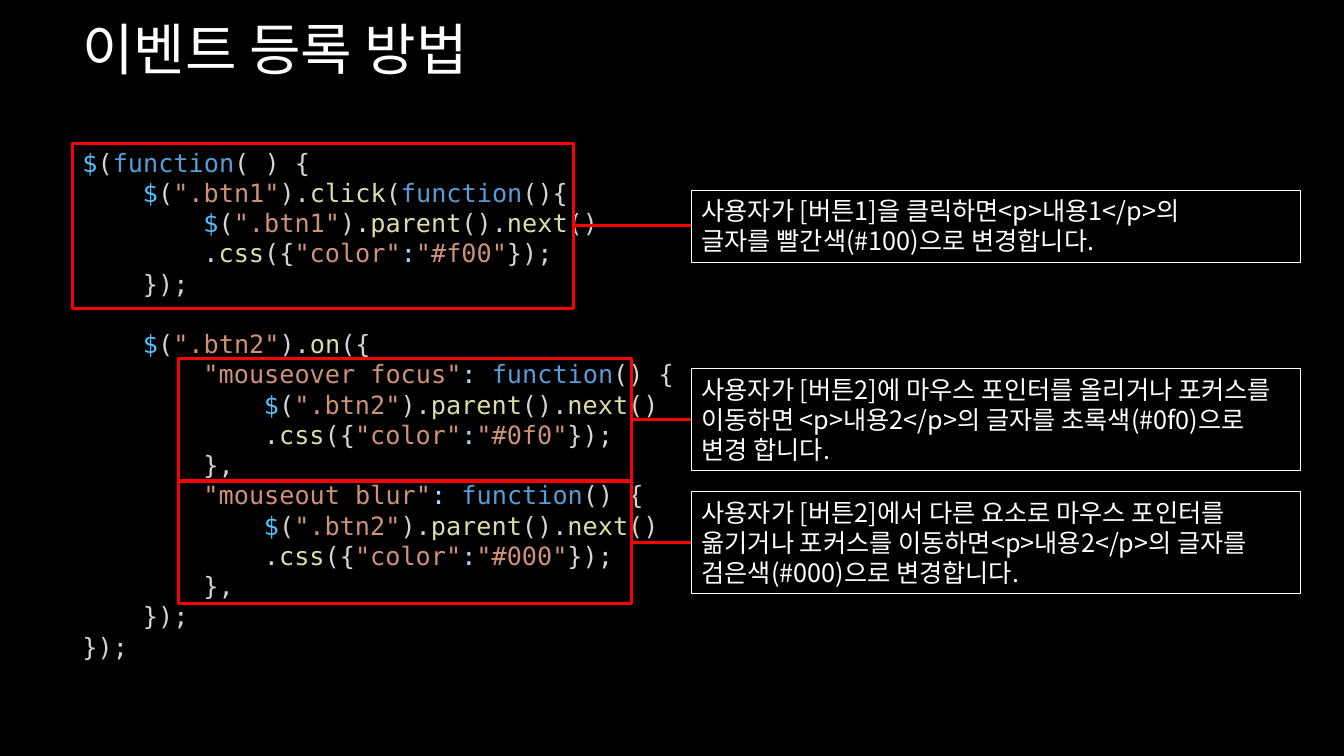
from pptx import Presentation
from pptx.dml.color import RGBColor
from pptx.enum.shapes import MSO_CONNECTOR, MSO_SHAPE
from pptx.enum.text import MSO_ANCHOR, PP_ALIGN
from pptx.oxml.ns import qn
from pptx.util import Inches, Pt
from lxml.etree import SubElement

COLORS = {
    "background": "000000",
    "white": "FFFFFF",
    "red": "FF0000",
    "plain": "D4D4D4",
    "dollar": "4FC1FF",
    "keyword": "569CD6",
    "string": "CE9178",
    "method": "DCDCAA",
    "colon": "9CDCFE",
}
KOREAN = "Noto Sans CJK KR"
MONO = "DejaVu Sans Mono"
INDENT = 0.6
LINE_RATIO = 1.2

TITLE = "이벤트 등록 방법"


# Code tokens: each line is (indent level, [(kind, text), ...])
def selector(button, *rest):
    return [("dollar", "$"), ("plain", "("), ("string", f'".{button}"'),
            ("plain", ")."), *rest]


def next_line(button):
    return selector(button, ("method", "parent"), ("plain", "()."),
                    ("method", "next"), ("plain", "()"))


def css_line(color):
    return [("plain", "."), ("method", "css"), ("plain", "({"),
            ("string", '"color"'), ("colon", ":"),
            ("string", f'"{color}"'), ("plain", "});")]


def handler(events, color):
    return [
        (2, [("string", f'"{events}"'), ("colon", ": "),
             ("keyword", "function"), ("plain", "() {")]),
        (3, next_line("btn2")),
        (3, css_line(color)),
        (2, [("plain", "},")]),
    ]


CLICK_CODE = [
    (0, [("dollar", "$"), ("plain", "("), ("keyword", "function"),
         ("plain", "( ) {")]),
    (1, selector("btn1", ("method", "click"), ("plain", "("),
                 ("keyword", "function"), ("plain", "(){"))),
    (2, next_line("btn1")),
    (2, css_line("#f00")),
    (1, [("plain", "});")]),
]
ON_CODE = [
    (1, selector("btn2", ("method", "on"), ("plain", "({"))),
    *handler("mouseover focus", "#0f0"),
    *handler("mouseout blur", "#000"),
    (1, [("plain", "});")]),
    (0, [("plain", "});")]),
]

# Red frames around the code: left, top, width, height
FRAMES = [
    (0.72, 1.42, 4.97, 1.64),
    (1.77, 3.56, 4.49, 1.21),
    (1.77, 4.78, 4.49, 1.21),
]

# Notes: top, height, paragraphs
NOTE_LEFT, NOTE_WIDTH = 6.86, 6.04
NOTES = [
    (1.89, 0.71, ["사용자가 [버튼1]을 클릭하면<p>내용1</p>의",
                  "글자를 빨간색(#100)으로 변경합니다."]),
    (3.66, 1.01, ["사용자가 [버튼2]에 마우스 포인터를 올리거나 포커스를 이동하면 "
                  "<p>내용2</p>의 글자를 초록색(#0f0)으로 변경 합니다."]),
    (4.88, 1.01, ["사용자가 [버튼2]에서 다른 요소로 마우스 포인터를 옮기거나 포커스를 "
                  "이동하면<p>내용2</p>의 글자를 검은색(#000)으로 변경합니다."]),
]


def rgb(name):
    return RGBColor.from_string(COLORS[name])


def apply_format(target, values):
    for name, value in values.items():
        setattr(target, name, value)


def add_run(p, text, size, font, color):
    r = p.add_run()
    r.text = text
    apply_format(r.font, {"name": font, "size": Pt(size)})
    r.font.color.rgb = rgb(color)
    # Hangul takes the East Asian typeface
    SubElement(r.font._element, qn("a:ea")).set("typeface", KOREAN)


def write_lines(tf, lines, size, font):
    """Write (indent level, tokens) lines into a text frame."""
    apply_format(tf, {"word_wrap": True, "vertical_anchor": MSO_ANCHOR.TOP})
    for i, (level, tokens) in enumerate(lines):
        p = tf.add_paragraph() if i else tf.paragraphs[0]
        apply_format(p, {"alignment": PP_ALIGN.LEFT,
                         "line_spacing": Pt(size * LINE_RATIO)})
        if level:
            p._p.get_or_add_pPr().set("marL", str(Inches(INDENT * level)))
        for color, text in tokens:
            add_run(p, text, size, font, color)


def add_text(s, box, lines, size, font):
    tf = s.shapes.add_textbox(*map(Inches, box)).text_frame
    write_lines(tf, lines, size, font)
    return tf


def add_box(s, box, color, width):
    sp = s.shapes.add_shape(MSO_SHAPE.RECTANGLE, *map(Inches, box))
    sp.shadow.inherit = False
    sp.fill.background()
    sp.line.color.rgb = rgb(color)
    sp.line.width = Pt(width)
    return sp


def add_line(s, left, right, y):
    line = s.shapes.add_connector(
        MSO_CONNECTOR.STRAIGHT, *map(Inches, (left, y, right, y)))
    line.line.color.rgb = rgb("red")
    line.line.width = Pt(2.25)
    SubElement(line._element.spPr, qn("a:effectLst"))


def main():
    prs = Presentation()
    apply_format(prs, {"slide_width": Inches(13.33),
                       "slide_height": Inches(7.5)})
    s = prs.slides.add_slide(prs.slide_layouts[6])
    s.background.fill.solid()
    s.background.fill.fore_color.rgb = rgb("background")

    # Title
    add_text(s, (0.72, 0.09, 9.02, 0.77), [(0, [("white", TITLE)])],
             40, "Arial")

    # Code, with a line's gap before the second part
    tf = add_text(s, (0.72, 1.41, 6.67, 5.25), CLICK_CODE + ON_CODE, 18, MONO)
    tf.paragraphs[len(CLICK_CODE)].space_before = Pt(18 * LINE_RATIO)

    # Each frame is joined to its note
    for frame, (top, height, texts) in zip(FRAMES, NOTES):
        left, frame_top, width, frame_height = frame
        add_box(s, frame, "red", 2.25)
        add_line(s, left + width, NOTE_LEFT, frame_top + frame_height / 2)
        note = add_box(s, (NOTE_LEFT, top, NOTE_WIDTH, height), "white", 0.75)
        write_lines(note.text_frame,
                    [(0, [("white", text)]) for text in texts], 18, KOREAN)

    prs.save("out.pptx")


if __name__ == "__main__":
    main()
